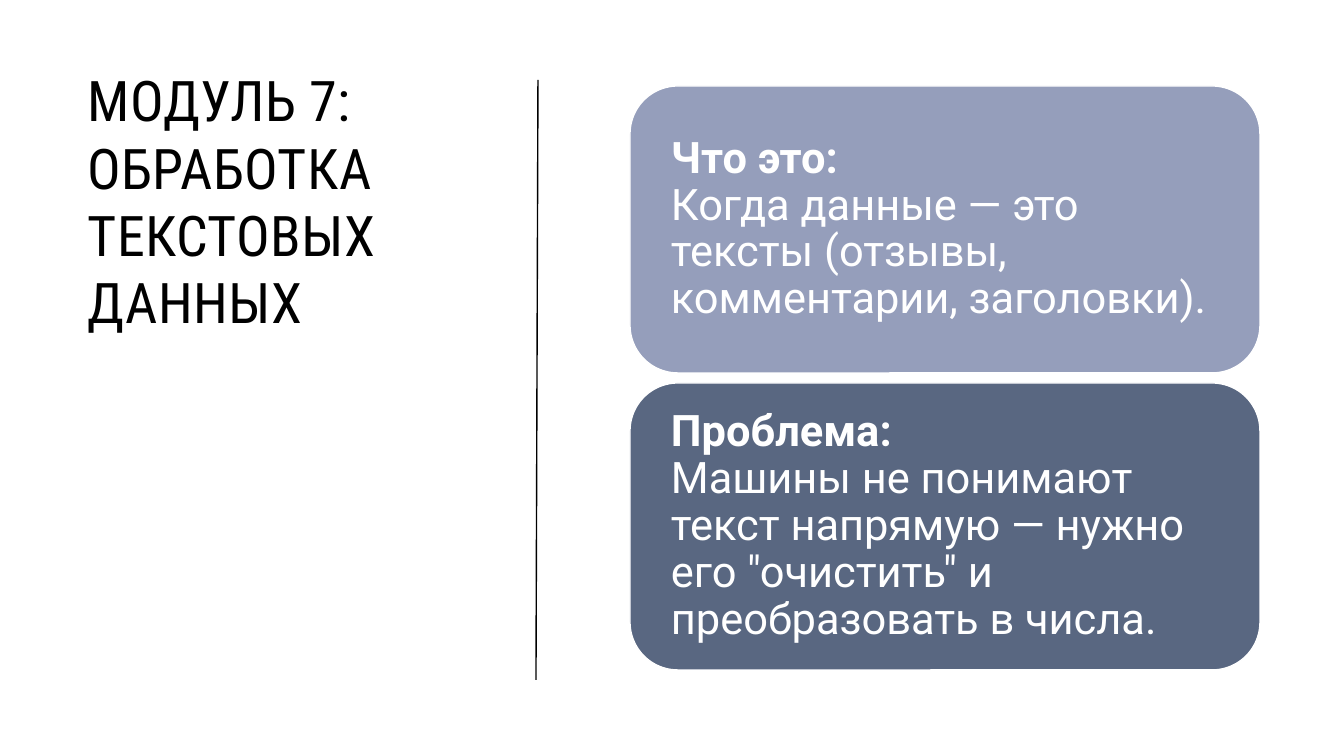
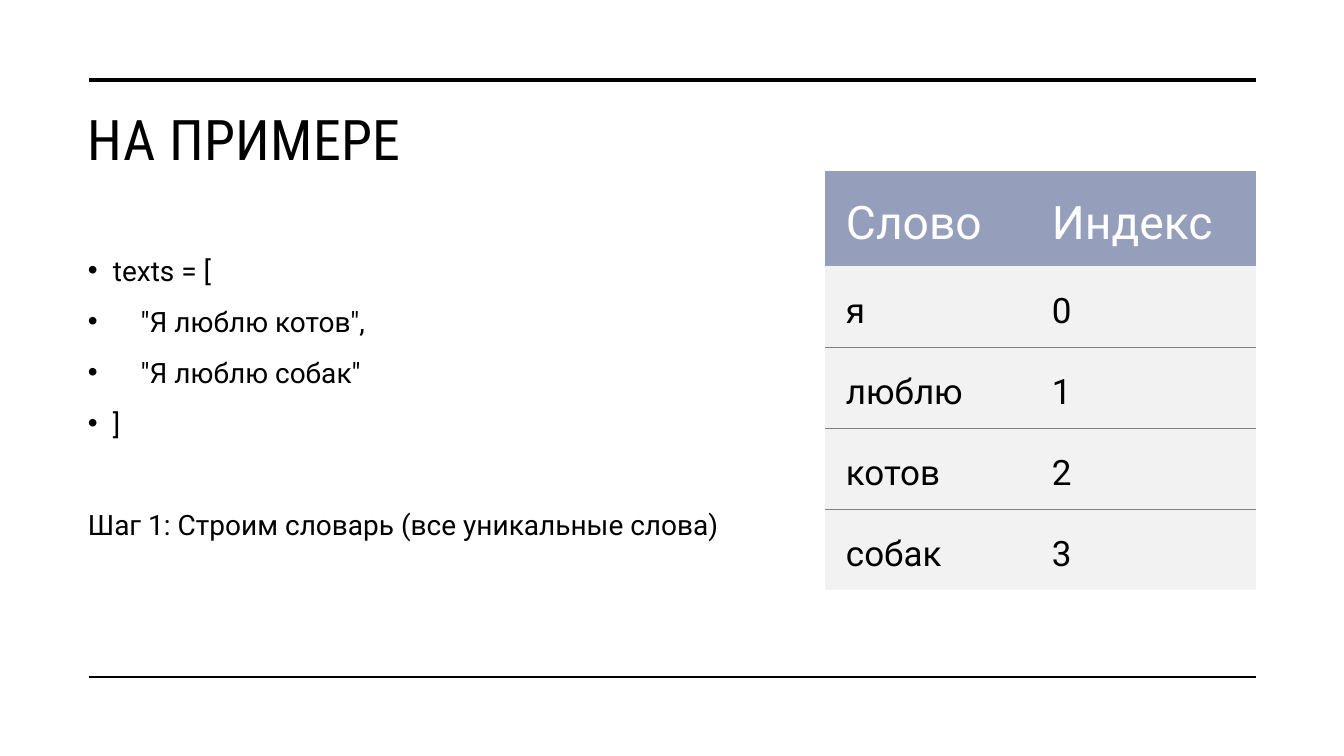
from dataclasses import dataclass

from lxml.etree import SubElement
from pptx import Presentation
from pptx.dml.color import RGBColor
from pptx.enum.shapes import MSO_CONNECTOR, MSO_SHAPE
from pptx.enum.text import MSO_ANCHOR, PP_ALIGN
from pptx.oxml.ns import qn
from pptx.util import Emu, Pt

NO_STYLE = "{2D5ABB26-0587-4C30-8999-92F81FD0307C}"


@dataclass(frozen=True)
class Theme:
    black: str = "000000"
    white: str = "FFFFFF"
    lilac: str = "959EBB"
    slate: str = "596781"
    pale: str = "F2F2F2"
    grey: str = "808080"
    title_font: str = "Roboto Condensed"
    body_font: str = "Roboto"
    title_size: int = 40
    card_size: int = 31
    body_size: int = 20
    head_size: int = 33
    cell_size: int = 25


def px(n):
    return Emu(round(n * 914400 / 100.8))


def rgb(color):
    return RGBColor.from_string(color)


class Deck:
    def __init__(self, theme):
        self.theme = theme
        self.prs = Presentation()
        self.prs.slide_width, self.prs.slide_height = px(1344), px(756)
        self.s = None

    def slide(self):
        self.s = self.prs.slides.add_slide(self.prs.slide_layouts[6])

    def style(self, p, size, color, font=None):
        for r in p.runs:
            r.font.size = Pt(size)
            r.font.name = font or self.theme.body_font
            r.font.color.rgb = rgb(color)

    def textbox(self, x, y, w, h):
        tf = self.s.shapes.add_textbox(px(x), px(y), px(w), px(h)).text_frame
        tf.word_wrap = True
        return tf

    def title(self, text, y, w, h):
        t = self.theme
        p = self.textbox(78, y, w, h).paragraphs[0]
        p.text = text
        self.style(p, t.title_size, t.black, t.title_font)
        for r in p.runs:
            r.font._element.set("spc", "30")

    def line(self, x1, y1, x2, y2, width):
        c = self.s.shapes.add_connector(
            MSO_CONNECTOR.STRAIGHT, px(x1), px(y1), px(x2), px(y2))
        c.line.color.rgb = rgb(self.theme.black)
        c.line.width = Pt(width)
        SubElement(c._element.spPr, qn("a:effectLst"))

    def card(self, x, y, w, h, fill, heading, text):
        t = self.theme
        sp = self.s.shapes.add_shape(
            MSO_SHAPE.ROUNDED_RECTANGLE, px(x), px(y), px(w), px(h))
        sp.shadow.inherit = False
        sp.fill.solid()
        sp.fill.fore_color.rgb = rgb(fill)
        sp.line.color.rgb = rgb(t.white)
        sp.line.width = Pt(1)
        tf = sp.text_frame
        tf.word_wrap = True
        tf.vertical_anchor = MSO_ANCHOR.MIDDLE
        tf.margin_left = tf.margin_right = px(27)
        p = tf.paragraphs[0]
        p.text = f"{heading}\n{text}"
        p.alignment = PP_ALIGN.LEFT
        p.line_spacing = 0.9
        self.style(p, t.card_size, t.white)
        p.runs[0].font.bold = True

    def body(self, x, y, w, h, code, note):
        t = self.theme
        tf = self.textbox(x, y, w, h)
        tf.text = "\n".join([*code, note])
        for i, p in enumerate(tf.paragraphs):
            p.line_spacing = 1.1
            if i:
                p.space_before = Pt(10 if i < len(code) else 46)
            if i < len(code):
                pPr = p._p.get_or_add_pPr()
                pPr.set("marL", str(px(25)))
                pPr.set("indent", str(-px(25)))
                SubElement(pPr, qn("a:buFont"), typeface="Arial")
                SubElement(pPr, qn("a:buChar"), char="•")
            self.style(p, t.body_size, t.black)

    def rule_below(self, cell):
        ln = SubElement(cell._tc.get_or_add_tcPr(), qn("a:lnB"), w=str(Pt(0.75)))
        fill = SubElement(ln, qn("a:solidFill"))
        SubElement(fill, qn("a:srgbClr"), val=self.theme.grey)

    def table(self, x, y, widths, heights, rows):
        t = self.theme
        table = self.s.shapes.add_table(
            len(rows), len(widths), px(x), px(y),
            px(sum(widths)), px(sum(heights))).table
        table._tbl.tblPr.find(qn("a:tableStyleId")).text = NO_STYLE
        table.first_row = table.horz_banding = False
        for column, width in zip(table.columns, widths):
            column.width = px(width)
        for i, (row, height, values) in enumerate(zip(table.rows, heights, rows)):
            row.height = px(height)
            for cell, value in zip(row.cells, values):
                if 0 < i < len(rows) - 1:
                    self.rule_below(cell)
                cell.fill.solid()
                cell.fill.fore_color.rgb = rgb(t.pale if i else t.lilac)
                cell.vertical_anchor = MSO_ANCHOR.MIDDLE
                cell.margin_left = cell.margin_right = cell.margin_top = px(21)
                cell.margin_bottom = px(10)
                p = cell.text_frame.paragraphs[0]
                p.text = value
                self.style(p, t.cell_size if i else t.head_size,
                           t.black if i else t.white)


def main():
    theme = Theme()
    deck = Deck(theme)

    deck.slide()
    deck.title("МОДУЛЬ 7: ОБРАБОТКА ТЕКСТОВЫХ ДАННЫХ", 61, 399, 503)
    deck.line(536, 680, 538, 80, 1)
    cards = [
        (theme.lilac, "Что это:",
         "Когда данные — это тексты (отзывы, комментарии, заголовки)."),
        (theme.slate, "Проблема:",
         "Машины не понимают текст напрямую — нужно его \"очистить\" "
         "и преобразовать в числа."),
    ]
    for i, card in enumerate(cards):
        deck.card(630, 86 + i * 297, 630, 287, *card)

    deck.slide()
    deck.title("НА ПРИМЕРЕ", 100, 706, 144)
    for y, width in [(80, 3.5), (677, 1)]:
        deck.line(89, y, 1256, y, width)
    deck.body(78, 245, 706, 412,
              ["texts = [", "    \"Я люблю котов\",", "    \"Я люблю собак\"", "]"],
              "Шаг 1: Строим словарь (все уникальные слова)")
    deck.table(825, 171, [206, 225], [95] + [81] * 4,
               [("Слово", "Индекс"), ("я", "0"), ("люблю", "1"),
                ("котов", "2"), ("собак", "3")])

    deck.prs.save("out.pptx")


if __name__ == "__main__":
    main()
